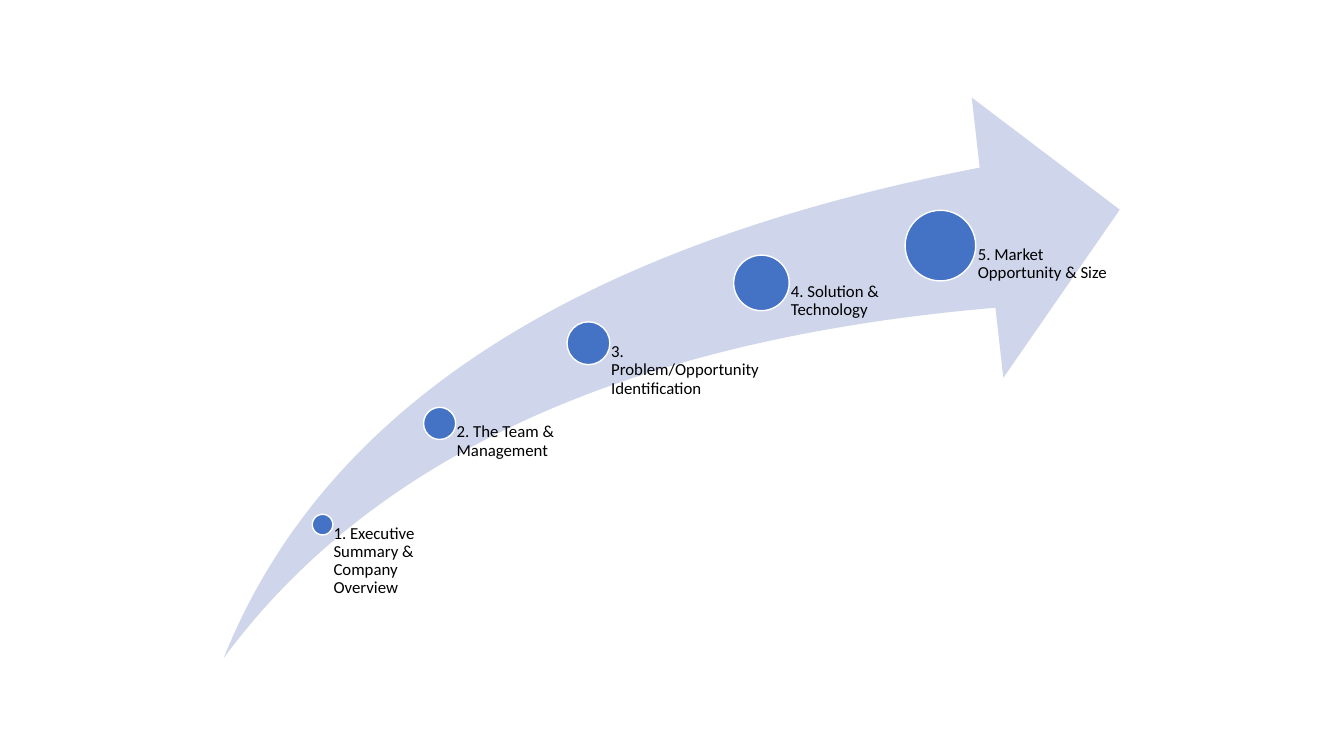
from dataclasses import dataclass

from pptx import Presentation
from pptx import util as u
from pptx.dml.color import RGBColor
from pptx.enum import shapes, text


@dataclass(frozen=True)
class Theme:
    arrow: RGBColor = RGBColor(0xCF, 0xD5, 0xEA)
    dot: RGBColor = RGBColor(0x44, 0x72, 0xC4)
    outline: RGBColor = RGBColor(0xFF, 0xFF, 0xFF)
    ink: RGBColor = RGBColor(0, 0, 0)
    font: str = "Calibri"
    label_size: u.Length = u.Pt(12)
    outline_width: u.Length = u.Pt(1)


THEME = Theme()

# Left, top, width and height in cm
ARROW = (5.64, 2.46, 22.58, 14.12)
ARROW_BOTTOM = ARROW[1] + ARROW[3]
# Label inset as a share of the dot's diameter, so text starts just past its edge
INSET_RATIO = 0.53

# Label, dot centre x and y, dot diameter, label width in cm
STEPS = [
    ("1. Executive Summary & Company Overview", 8.13, 13.22, 0.52, 2.95),
    ("2. The Team & Management", 11.08, 10.67, 0.81, 3.76),
    ("3. Problem/Opportunity Identification", 14.83, 8.65, 1.08, 4.37),
    ("4. Solution & Technology", 19.19, 7.13, 1.4, 4.52),
    ("5. Market Opportunity & Size", 23.7, 6.19, 1.78, 4.52),
]


def apply_format(target, values):
    for name, value in values.items():
        setattr(target, name, value)


def lengths(*values):
    return [u.Cm(value) for value in values]


def add_filled_shape(group, kind, bounds, color):
    shape = group.shapes.add_shape(kind, *lengths(*bounds))
    shape.shadow.inherit = False
    shape.fill.solid()
    shape.fill.fore_color.rgb = color
    shape.line.fill.background()
    return shape


def add_arrow(group):
    arrow = add_filled_shape(
        group, shapes.MSO_SHAPE.SWOOSH_ARROW, ARROW, THEME.arrow)
    for index in range(2):
        arrow.adjustments[index] = 0.25


def add_dot(group, x, y, diameter):
    bounds = (x - diameter / 2, y - diameter / 2, diameter, diameter)
    dot = add_filled_shape(group, shapes.MSO_SHAPE.OVAL, bounds, THEME.dot)
    dot.line.color.rgb = THEME.outline
    dot.line.width = THEME.outline_width


def add_label(group, label, x, y, diameter, width):
    """Place a label from the dot's centre down to the arrow's bottom."""
    box = group.shapes.add_textbox(*lengths(x, y, width, ARROW_BOTTOM - y))
    apply_format(box.text_frame, {
        "word_wrap": True,
        "auto_size": text.MSO_AUTO_SIZE.NONE,
        "vertical_anchor": text.MSO_ANCHOR.TOP,
        "margin_left": u.Cm(diameter * INSET_RATIO),
        "margin_top": 0,
        "margin_right": 0,
        "margin_bottom": 0,
    })
    para = box.text_frame.paragraphs[0]
    apply_format(para, {"alignment": text.PP_ALIGN.LEFT, "line_spacing": 0.9})
    span = para.add_run()
    span.text = label
    apply_format(span.font, {"name": THEME.font, "size": THEME.label_size})
    span.font.color.rgb = THEME.ink


def main():
    deck = Presentation()
    apply_format(deck, {"slide_width": u.Cm(33.87), "slide_height": u.Cm(19.05)})
    page = deck.slides.add_slide(deck.slide_layouts.get_by_name("Blank"))
    group = page.shapes.add_group_shape()
    add_arrow(group)
    for label, x, y, diameter, width in STEPS:
        add_dot(group, x, y, diameter)
        add_label(group, label, x, y, diameter, width)
    deck.save("out.pptx")


if __name__ == "__main__":
    main()
